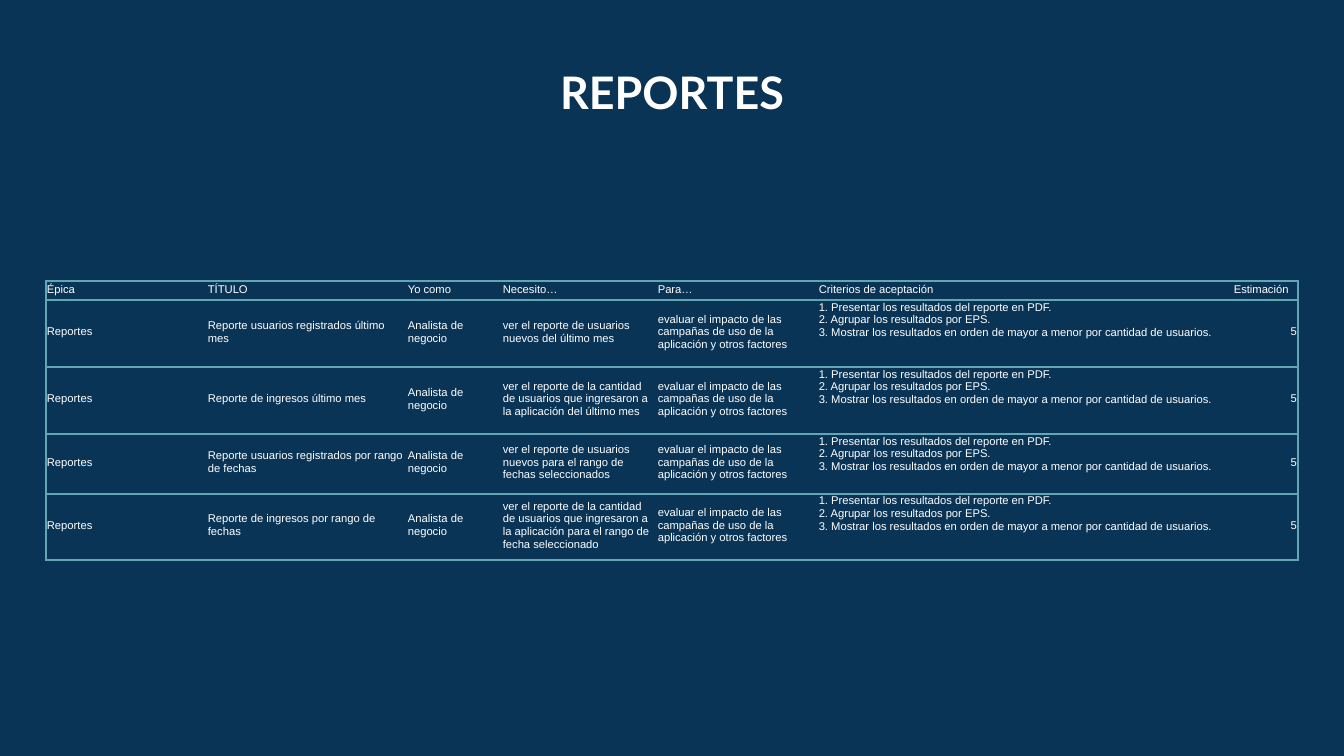
from lxml.etree import SubElement
from pptx import Presentation
from pptx.dml.color import RGBColor
from pptx.enum.text import MSO_ANCHOR as Anchor, PP_ALIGN as Align
from pptx.oxml.ns import qn
from pptx.util import Emu, Pt

COLORS = {"navy": "0A3455", "teal": "61A6B5", "white": "FFFFFF"}

TITLE = "REPORTES"
HEADERS = ["Épica", "TÍTULO", "Yo como", "Necesito…", "Para…",
           "Criterios de aceptación", "Estimación"]
EPIC = "Reportes"
ROLE = "Analista de negocio"
PURPOSE = "evaluar el impacto de las campañas de uso de la aplicación y otros factores"
CRITERIA = "\n".join([
    "1. Presentar los resultados del reporte en PDF.",
    "2. Agrupar los resultados por EPS.",
    "3. Mostrar los resultados en orden de mayor a menor por cantidad de usuarios.",
])
ESTIMATE = "5"
STORIES = [  # title, need
    ("Reporte usuarios registrados último mes",
     "ver el reporte de usuarios nuevos del último mes"),
    ("Reporte de ingresos último mes",
     "ver el reporte de la cantidad de usuarios que ingresaron a la aplicación del último mes"),
    ("Reporte usuarios registrados por rango de fechas",
     "ver el reporte de usuarios nuevos para el rango de fechas seleccionados"),
    ("Reporte de ingresos por rango de fechas",
     "ver el reporte de la cantidad de usuarios que ingresaron a la aplicación "
     "para el rango de fecha seleccionado"),
]

COLUMN_WIDTHS = [161, 200, 95, 155, 161, 415, 65]
ROW_HEIGHTS = [19, 67, 67, 60, 66]
CRITERIA_COLUMN, ESTIMATE_COLUMN = 5, 6


def px(n):
    return Emu(round(n * 914400 / 134.4))


def color(name):
    return RGBColor.from_string(COLORS[name])


def write(frame, text, font="Arial", size=6, bold=False, align=Align.LEFT):
    paragraph = frame.paragraphs[0]
    paragraph.text = text
    paragraph.alignment = align
    for run in paragraph.runs:
        run.font.name = font
        run.font.size = Pt(size)
        run.font.bold = bold
        run.font.color.rgb = color("white")
    for line_break in paragraph._p.findall(qn("a:br")):
        SubElement(line_break, qn("a:rPr"), sz=str(size * 100))


def set_borders(cell, drawn):
    """Draw the listed sides (of L, R, T, B) and blank the others."""
    properties = cell._tc.get_or_add_tcPr()
    for side in "LRTB":
        line = SubElement(properties, qn(f"a:ln{side}"), w=str(Pt(1)))
        if side in drawn:
            fill = SubElement(line, qn("a:solidFill"))
            SubElement(fill, qn("a:srgbClr"), val=COLORS["teal"])
        else:
            SubElement(line, qn("a:noFill"))


def format_cell(cell, row, column):
    set_borders(cell, "TB" + {0: "L", ESTIMATE_COLUMN: "R"}.get(column, ""))
    cell.fill.solid()
    cell.fill.fore_color.rgb = color("navy")
    cell.margin_left = cell.margin_right = cell.margin_top = px(1)
    cell.margin_bottom = px(4)
    if row == 0:
        cell.vertical_anchor = Anchor.BOTTOM
    elif column == CRITERIA_COLUMN:
        cell.vertical_anchor = Anchor.TOP
    else:
        cell.vertical_anchor = Anchor.MIDDLE


def add_title(slide):
    title = slide.shapes.title
    title.left, title.top, title.width, title.height = map(px, (289, 52, 766, 138))
    frame = title.text_frame
    frame.margin_left = frame.margin_right = px(13)
    frame.margin_top = frame.margin_bottom = px(13)
    frame.vertical_anchor = Anchor.TOP
    write(frame, TITLE, font="Lato", size=24, bold=True, align=Align.CENTER)


def add_story_table(slide):
    rows = [HEADERS] + [[EPIC, name, ROLE, need, PURPOSE, CRITERIA, ESTIMATE]
                        for name, need in STORIES]
    table = slide.shapes.add_table(
        len(rows), len(HEADERS), px(46), px(281),
        px(sum(COLUMN_WIDTHS)), px(sum(ROW_HEIGHTS))).table
    table.first_row = table.horz_banding = False
    for column, width in zip(table.columns, COLUMN_WIDTHS):
        column.width = px(width)
    for row, height in zip(table.rows, ROW_HEIGHTS):
        row.height = px(height)
    for r, texts in enumerate(rows):
        for c, text in enumerate(texts):
            cell = table.cell(r, c)
            format_cell(cell, r, c)
            is_number = r > 0 and c == ESTIMATE_COLUMN
            write(cell.text_frame, text, align=Align.RIGHT if is_number else Align.LEFT)


def main():
    deck = Presentation()
    deck.slide_width, deck.slide_height = px(1344), px(756)
    slide = deck.slides.add_slide(deck.slide_layouts[0])
    slide.background.fill.solid()
    slide.background.fill.fore_color.rgb = color("navy")
    subtitle = slide.placeholders[1]._element
    subtitle.getparent().remove(subtitle)
    add_title(slide)
    add_story_table(slide)
    deck.save("out.pptx")


if __name__ == "__main__":
    main()
